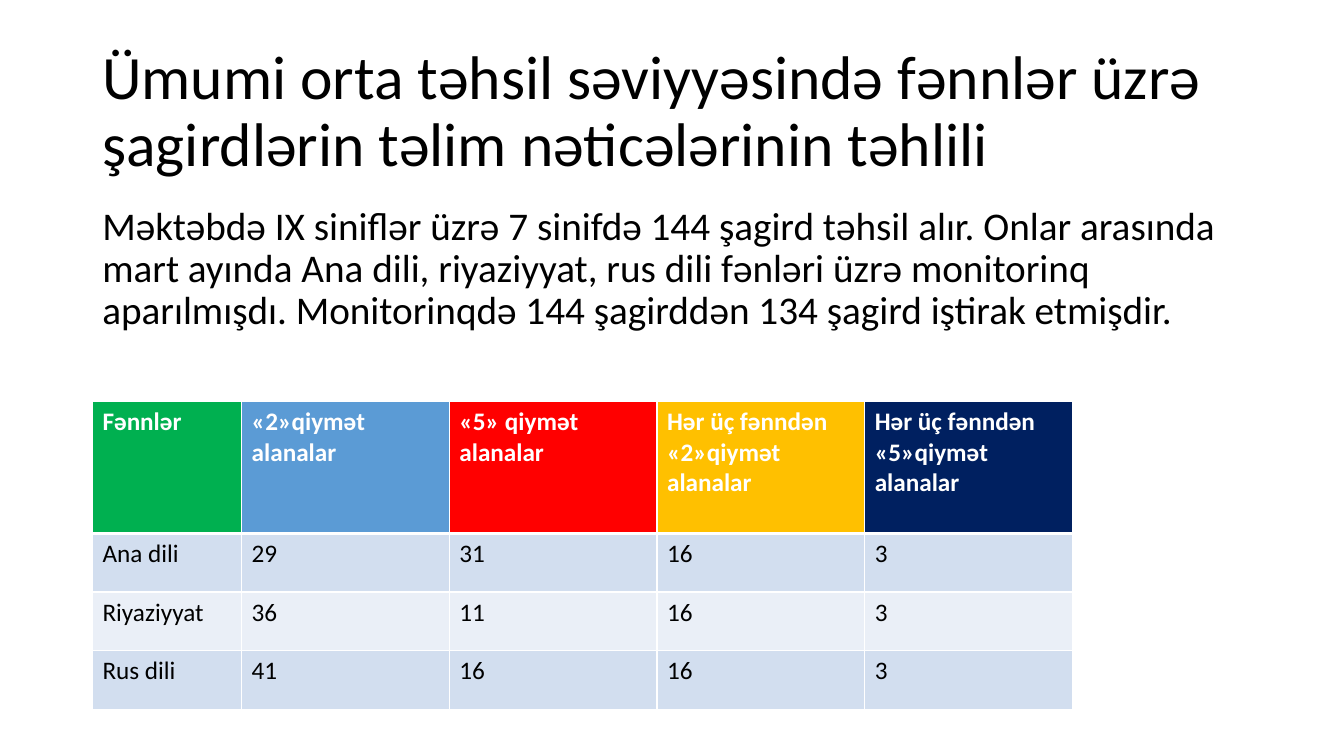
from lxml import etree
from pptx import Presentation
from pptx.dml.color import RGBColor
from pptx.enum.text import MSO_ANCHOR as Anchor
from pptx.oxml.ns import qn
from pptx.util import Cm, Pt

COLORS = {
    "text": "000000", "white": "FFFFFF",
    "green": "00B050", "blue": "5B9BD5", "red": "FF0000",
    "gold": "FFC000", "navy": "002060",
    "band_dark": "D2DEEF", "band_light": "EAEFF7",
}
FONT = "Calibri"
LEFT = 2.33
TEXT_WIDTH = 29.21

TITLE = "Ümumi orta təhsil səviyyəsində fənnlər üzrə şagirdlərin təlim nəticələrinin təhlili"
SUMMARY = (
    "Məktəbdə IX siniflər üzrə 7 sinifdə 144 şagird təhsil alır. "
    "Onlar arasında mart ayında Ana dili, riyaziyyat, rus dili fənləri üzrə "
    "monitorinq aparılmışdı. Monitorinqdə 144 şagirddən 134 şagird iştirak etmişdir."
)
HEADERS = [
    ("Fənnlər", "green"),
    ("«2»qiymət alanalar", "blue"),
    ("«5» qiymət alanalar", "red"),
    ("Hər üç fənndən «2»qiymət alanalar", "gold"),
    ("Hər üç fənndən «5»qiymət alanalar", "navy"),
]
RESULTS = [
    ("Ana dili", 29, 31, 16, 3),
    ("Riyaziyyat", 36, 11, 16, 3),
    ("Rus dili", 41, 16, 16, 3),
]


def rgb(name):
    return RGBColor.from_string(COLORS[name])


def style(paragraph, size, color="text", bold=False):
    font = paragraph.font
    font.name, font.size, font.bold = FONT, Pt(size), bold
    font.color.rgb = rgb(color)


def add_text(slide, box, text, size, anchor):
    frame = slide.shapes.add_textbox(*map(Cm, box)).text_frame
    frame.word_wrap = True
    frame.vertical_anchor = anchor
    paragraph = frame.paragraphs[0]
    paragraph.text = text
    paragraph.line_spacing = 0.9
    style(paragraph, size)


def set_borders(cell, top, bottom):
    """Draw white cell borders; top and bottom are widths in points."""
    properties = cell._tc.get_or_add_tcPr()
    widths = {"lnL": 1, "lnR": 1, "lnT": top, "lnB": bottom}
    for position, (side, width) in enumerate(widths.items()):
        line = etree.Element(qn(f"a:{side}"), w=str(Pt(width)))
        fill = etree.SubElement(line, qn("a:solidFill"))
        etree.SubElement(fill, qn("a:srgbClr"), val=COLORS["white"])
        properties.insert(position, line)


def fill_cell(cell, value, fill, color="text", bold=False, top=1, bottom=1):
    cell.text = str(value)
    style(cell.text_frame.paragraphs[0], 18, color, bold)
    cell.fill.solid()
    cell.fill.fore_color.rgb = rgb(fill)
    set_borders(cell, top, bottom)


def add_results_table(slide, box, subject_width=3.76, header_height=3.33):
    left, top, width, height = box
    table = slide.shapes.add_table(
        len(RESULTS) + 1, len(HEADERS), Cm(left), Cm(top), Cm(width), Cm(height)
    ).table
    grade_width = (width - subject_width) / (len(HEADERS) - 1)
    result_height = (height - header_height) / len(RESULTS)
    for index, column in enumerate(table.columns):
        column.width = Cm(grade_width if index else subject_width)
    for index, row in enumerate(table.rows):
        row.height = Cm(result_height if index else header_height)

    for column, (header, fill) in enumerate(HEADERS):
        fill_cell(table.cell(0, column), header, fill, "white", True, bottom=3)
    for row, result in enumerate(RESULTS, start=1):
        band = "band_dark" if row % 2 else "band_light"
        for column, value in enumerate(result):
            fill_cell(table.cell(row, column), value, band, top=3 if row == 1 else 1)


def main():
    deck = Presentation()
    deck.slide_width, deck.slide_height = Cm(33.87), Cm(19.05)
    slide = deck.slides.add_slide(deck.slide_layouts[6])
    add_text(slide, (LEFT, 1.01, TEXT_WIDTH, 3.68), TITLE, 44, Anchor.MIDDLE)
    add_text(slide, (LEFT, 5.07, TEXT_WIDTH, 12.09), SUMMARY, 28, Anchor.TOP)
    add_results_table(slide, (LEFT, 10.11, 24.7, 7.77))
    deck.save("out.pptx")


if __name__ == "__main__":
    main()
